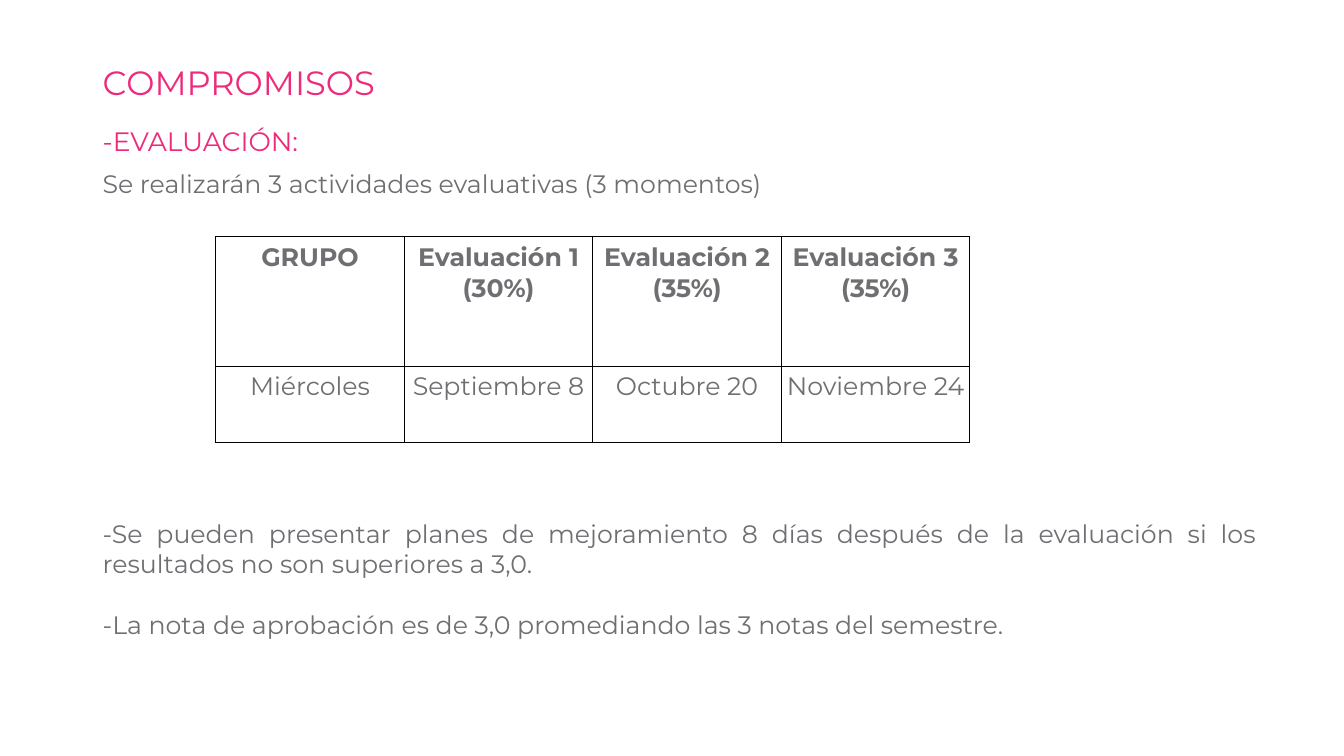
from lxml.etree import SubElement
from pptx import Presentation
from pptx.dml.color import RGBColor
from pptx.enum.text import PP_ALIGN
from pptx.oxml.ns import qn
from pptx.util import Inches, Pt

COLORS = {"pink": "EE2B7B", "gray": "6E6F72", "border": "000000"}
FONT = "Montserrat"


def write(text_frame, text, size=18, color="gray", bold=False,
          align=PP_ALIGN.JUSTIFY, line_spacing=None, space_before=0):
    """Fill the first paragraph if it is empty, otherwise add one."""
    paragraph = text_frame.paragraphs[0]
    if paragraph.runs:
        paragraph = text_frame.add_paragraph()
    paragraph.alignment = align
    paragraph.space_before = Pt(space_before)
    if line_spacing:
        paragraph.line_spacing = line_spacing
    run = paragraph.add_run()
    run.text = text
    run.font.name = FONT
    run.font.size = Pt(size)
    run.font.bold = bold
    run.font.color.rgb = RGBColor.from_string(COLORS[color])


def add_text_frame(left, top, width, height):
    box = slide.shapes.add_textbox(Inches(left), Inches(top), Inches(width), Inches(height))
    box.text_frame.word_wrap = True
    return box.text_frame


presentation = Presentation()
presentation.slide_width = Inches(13.33)
presentation.slide_height = Inches(7.5)
slide = presentation.slides.add_slide(presentation.slide_layouts[6])

# Heading and introduction
title = add_text_frame(0.92, 0.61, 11.5, 0.55)
write(title, "COMPROMISOS", size=24, color="pink", align=PP_ALIGN.LEFT, line_spacing=0.9)

introduction = add_text_frame(0.92, 1.23, 11.77, 1.12)
write(introduction, "-EVALUACIÓN:", size=19, color="pink", line_spacing=0.9)
write(introduction, "Se realizarán 3 actividades evaluativas (3 momentos)",
      line_spacing=0.9, space_before=10)

# Evaluation dates
ROWS = [
    [["GRUPO"], ["Evaluación 1 (30%)"], ["Evaluación 2", "(35%)"], ["Evaluación 3", "(35%)"]],
    [["Miércoles"], ["Septiembre 8"], ["Octubre 20"], ["Noviembre 24"]],
]
ROW_HEIGHTS = [1.29, 0.75]
COLUMN_WIDTH = 1.87

table = slide.shapes.add_table(
    len(ROWS), len(ROWS[0]), Inches(2.14), Inches(2.35),
    Inches(COLUMN_WIDTH * len(ROWS[0])), Inches(sum(ROW_HEIGHTS))).table
table.first_row = False
table.horz_banding = False
for column in table.columns:
    column.width = Inches(COLUMN_WIDTH)

for row_index, (row, height) in enumerate(zip(ROWS, ROW_HEIGHTS)):
    table.rows[row_index].height = Inches(height)
    is_header = row_index == 0
    for column_index, lines in enumerate(row):
        cell = table.cell(row_index, column_index)
        if not is_header:
            cell.margin_left = cell.margin_right = cell.margin_bottom = 0
            cell.margin_top = Inches(0.04)
        for line in lines:
            write(cell.text_frame, line, bold=is_header, align=PP_ALIGN.CENTER,
                  space_before=0 if is_header else 2.5)
        properties = cell._tc.get_or_add_tcPr()
        for side in ("lnL", "lnR", "lnT", "lnB"):
            border = SubElement(properties, qn(f"a:{side}"), w=str(Pt(1)))
            border_fill = SubElement(border, qn("a:solidFill"))
            SubElement(border_fill, qn("a:srgbClr"), val=COLORS["border"])
        SubElement(properties, qn("a:noFill"))

# Closing conditions
conditions = add_text_frame(0.92, 5.09, 11.64, 1.31)
write(conditions, "-Se pueden presentar planes de mejoramiento 8 días después de la "
      "evaluación si los resultados no son superiores a 3,0.")
write(conditions, "-La nota de aprobación es de 3,0 promediando las 3 notas del semestre.",
      space_before=22)

presentation.save("out.pptx")
